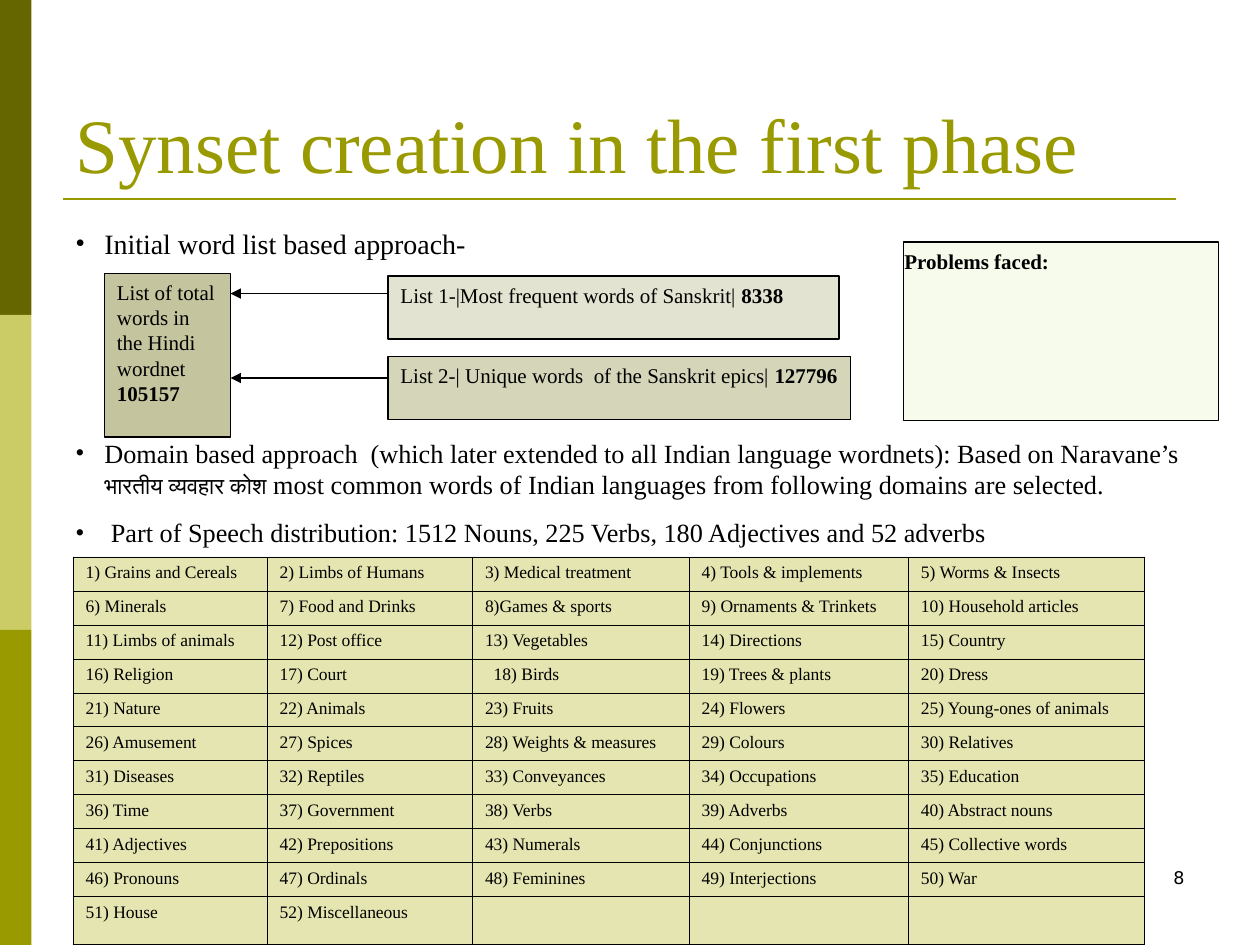
from dataclasses import dataclass
from typing import Optional

from lxml.etree import SubElement
from pptx import Presentation
from pptx.dml.color import RGBColor
from pptx.enum.shapes import MSO_CONNECTOR as CONN, MSO_SHAPE as SHAPE
from pptx.enum.text import MSO_ANCHOR as ANCHOR, MSO_AUTO_SIZE as AUTO, PP_ALIGN as ALIGN
from pptx.oxml import parse_xml
from pptx.oxml.ns import nsdecls, qn
from pptx.util import Inches, Pt

SERIF = "Times New Roman"
BLACK, OLIVE, DARK, LIGHT = "000000", "999900", "666600", "CCCC66"


@dataclass
class Run:
    text: str
    size: float = 12
    bold: bool = False
    color: str = BLACK
    font: str = SERIF


@dataclass
class Box:
    left: float
    top: float
    width: float
    height: float
    paragraphs: tuple = ()
    fill: Optional[str] = None
    alpha: int = 100
    outline: bool = False
    bullet: bool = False
    space: float = 0
    align: ALIGN = ALIGN.LEFT
    margin_right: float = 0.1


@dataclass
class Line:
    x1: float
    x2: float
    y: float
    color: str = BLACK
    width: float = 0.75
    arrow: bool = False


BARS = [Box(0, 2.5 * i, 0.25, 2.5, fill=c) for i, c in enumerate((DARK, LIGHT, OLIVE))]

BOXES = [
    Box(0.5, 1.75, 8.92, 0.37, ([Run("Initial word list based approach-", 16)],),
        bullet=True, space=10),
    Box(0.5, 3.42, 9.25, 1.23, (
        [Run("Domain based approach  (which later extended to all Indian language "
             "wordnets): Based on Naravane’s ", 15),
         Run("भारतीय व्यवहार कोश", 13),
         Run(" most common words of Indian languages from following domains are selected.", 15)],
        [Run(" Part of Speech distribution: 1512 Nouns, 225 Verbs, "
             "180 Adjectives and 52 adverbs", 15)],
    ), bullet=True, space=9.4),
    Box(3.08, 2.19, 3.58, 0.5,
        ([Run("List 1-|Most frequent words of Sanskrit| "), Run("8338", bold=True)],),
        DARK, 18, True),
    Box(0.83, 2.17, 1, 1.3,
        ([Run("List of total words in the Hindi wordnet")], [Run("105157", bold=True)]),
        DARK, 38, True),
    Box(3.08, 2.83, 3.67, 0.5,
        ([Run("List 2-| Unique words  of the Sanskrit epics| "), Run("127796", bold=True)],),
        DARK, 27, True, margin_right=0.02),
    Box(7.17, 1.92, 2.5, 1.42, fill="99CC00", alpha=8, outline=True),
    Box(7.08, 1.92, 2.33, 0.3, ([Run("Problems faced:", bold=True)],)),
    Box(7.17, 6.83, 2.33, 0.5, ([Run("8", 10, font="DejaVu Sans")],), align=ALIGN.RIGHT),
]

LINES = [Line(0.5, 9.33, 1.58, OLIVE, 1.5)] + [
    Line(3.08, 1.83, y, arrow=True) for y in (2.33, 3)]

COLUMNS = (1.54, 1.63, 1.72, 1.74, 1.87)
ROW_HEIGHT, LAST_HEIGHT = 0.27, 0.38
DOMAINS = [
    "1) Grains and Cereals|2) Limbs of Humans|3) Medical treatment|4) Tools & implements|5) Worms & Insects",
    "6) Minerals|7) Food and Drinks|8)Games & sports|9) Ornaments & Trinkets|10) Household articles",
    "11) Limbs of animals|12) Post office|13) Vegetables|14) Directions|15) Country",
    "16) Religion|17) Court|  18) Birds|19) Trees & plants|20) Dress",
    "21) Nature|22) Animals|23) Fruits|24) Flowers|25) Young-ones of animals",
    "26) Amusement|27) Spices|28) Weights & measures|29) Colours|30) Relatives",
    "31) Diseases|32) Reptiles|33) Conveyances|34) Occupations|35) Education",
    "36) Time|37) Government|38) Verbs|39) Adverbs|40) Abstract nouns",
    "41) Adjectives|42) Prepositions|43) Numerals|44) Conjunctions|45) Collective words",
    "46) Pronouns|47) Ordinals|48) Feminines|49) Interjections|50) War",
    "51) House|52) Miscellaneous|||",
]


def rgb(color: str) -> RGBColor:
    return RGBColor.from_string(color)


def paint(fill, element, color: str, alpha: int) -> None:
    fill.solid()
    fill.fore_color.rgb = rgb(color)
    if alpha < 100:
        clr = element.find(qn("a:solidFill")).find(qn("a:srgbClr"))
        SubElement(clr, qn("a:alpha"), val=str(alpha * 1000))


def add_run(p, run: Run) -> None:
    r = p.add_run()
    r.text = run.text
    formats = {"size": Pt(run.size), "bold": run.bold, "name": run.font}
    for name, value in formats.items():
        setattr(r.font, name, value)
    r.font.color.rgb = rgb(run.color)


def add_bullet(p) -> None:
    pPr = p._p.get_or_add_pPr()
    pPr.set("marL", str(Inches(0.23)))
    pPr.set("indent", str(-Inches(0.23)))
    clr = SubElement(pPr, qn("a:buClr"))
    SubElement(clr, qn("a:srgbClr"), val=BLACK)
    SubElement(pPr, qn("a:buFont"), typeface=SERIF)
    SubElement(pPr, qn("a:buChar"), char="•")


def add_box(s, box: Box) -> None:
    place = [Inches(v) for v in (box.left, box.top, box.width, box.height)]
    if box.fill:
        sp = s.shapes.add_shape(SHAPE.RECTANGLE, *place)
        sp.shadow.inherit = False
        paint(sp.fill, sp.element.spPr, box.fill, box.alpha)
        if box.outline:
            sp.line.color.rgb = rgb(BLACK)
            sp.line.width = Pt(0.75)
        else:
            sp.line.fill.background()
    else:
        sp = s.shapes.add_textbox(*place)
    tf = sp.text_frame
    formats = {"word_wrap": True, "vertical_anchor": ANCHOR.TOP,
               "margin_right": Inches(box.margin_right)}
    for name, value in formats.items():
        setattr(tf, name, value)
    for i, runs in enumerate(box.paragraphs):
        p = tf.add_paragraph() if i else tf.paragraphs[0]
        p.alignment = box.align
        p.space_before = Pt(box.space)
        if box.bullet:
            add_bullet(p)
        for run in runs:
            add_run(p, run)


def add_line(s, line: Line) -> None:
    y = Inches(line.y)
    cn = s.shapes.add_connector(CONN.STRAIGHT, Inches(line.x1), y, Inches(line.x2), y)
    cn.line.color.rgb = rgb(line.color)
    cn.line.width = Pt(line.width)
    if line.arrow:
        SubElement(cn.line._get_or_add_ln(), qn("a:tailEnd"), type="triangle")
    SubElement(cn.element.spPr, qn("a:effectLst"))


def add_domains(s) -> None:
    heights = [ROW_HEIGHT] * (len(DOMAINS) - 1) + [LAST_HEIGHT]
    table = s.shapes.add_table(len(DOMAINS), len(COLUMNS), Inches(0.58), Inches(4.42),
                               Inches(sum(COLUMNS)), Inches(sum(heights))).table
    table.first_row = table.horz_banding = False
    for column, width in zip(table.columns, COLUMNS):
        column.width = Inches(width)
    for i, (row, height) in enumerate(zip(DOMAINS, heights)):
        table.rows[i].height = Inches(height)
        for j, text in enumerate(row.split("|")):
            cell = table.cell(i, j)
            tcPr = cell._tc.get_or_add_tcPr()
            paint(cell.fill, tcPr, LIGHT, 50)
            for k, side in enumerate(("lnL", "lnR", "lnT", "lnB")):
                tcPr.insert(k, parse_xml(
                    f'<a:{side} {nsdecls("a")} w="{Pt(0.45)}"><a:solidFill>'
                    f'<a:srgbClr val="{BLACK}"/></a:solidFill></a:{side}>'))
            add_run(cell.text_frame.paragraphs[0], Run(text, 10))


def add_title(s, text: str) -> None:
    title = s.shapes.title
    place = {"left": 0.5, "top": 0.3, "width": 9, "height": 1.25}
    for name, value in place.items():
        setattr(title, name, Inches(value))
    tf = title.text_frame
    formats = {"vertical_anchor": ANCHOR.BOTTOM, "auto_size": AUTO.NONE, "word_wrap": True}
    for name, value in formats.items():
        setattr(tf, name, value)
    p = tf.paragraphs[0]
    p.alignment = ALIGN.LEFT
    add_run(p, Run(text, 44, color=OLIVE))


def main() -> None:
    prs = Presentation()
    prs.slide_width, prs.slide_height = Inches(10), Inches(7.5)
    s = prs.slides.add_slide(prs.slide_layouts[5])
    add_title(s, "Synset creation in the first phase")
    add_domains(s)
    for box in BARS + BOXES:
        add_box(s, box)
    for line in LINES:
        add_line(s, line)
    prs.save("out.pptx")


if __name__ == "__main__":
    main()
